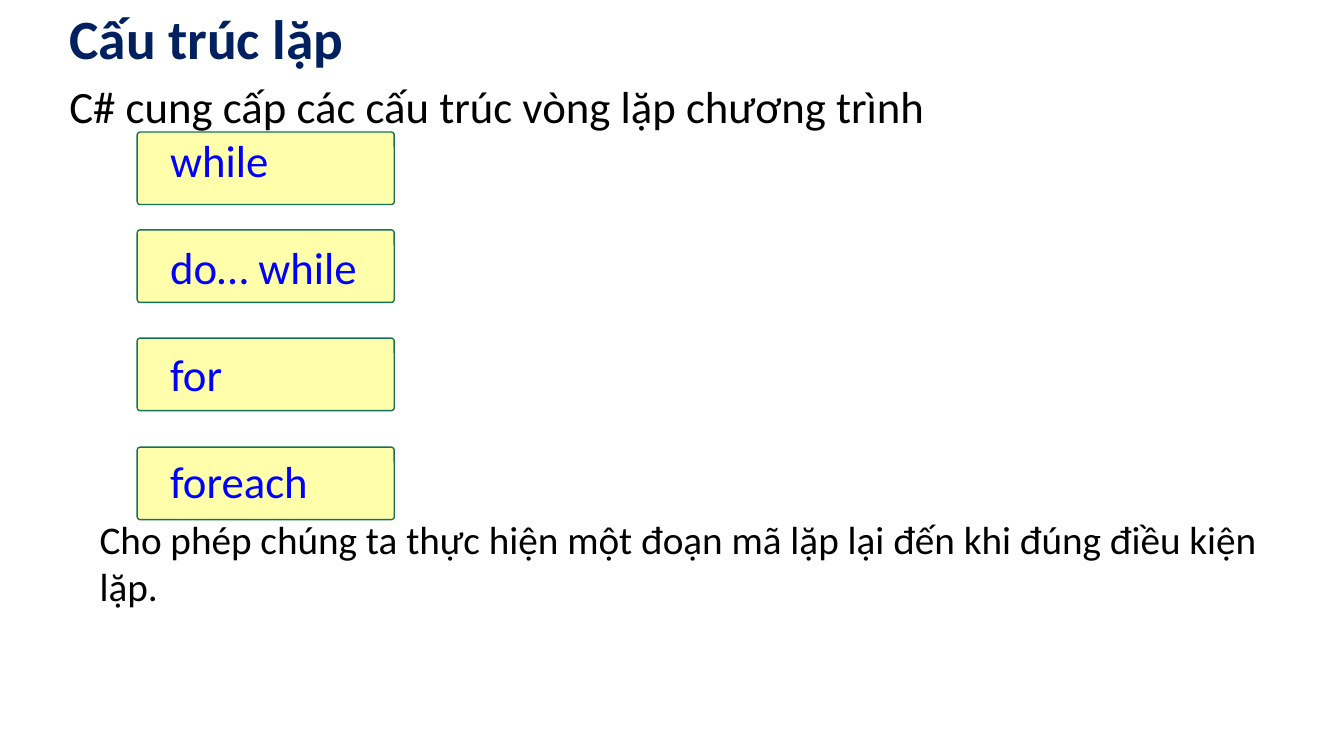
from dataclasses import dataclass

from pptx import Presentation
from pptx import util as u
from pptx.dml import color
from pptx.enum import shapes, text


@dataclass(frozen=True)
class Theme:
    font: str = "Calibri"
    title_color: str = "002060"
    body_color: str = "000000"
    keyword_color: str = "0000FF"
    box_fill: str = "FFFFAB"
    box_line: str = "157259"
    title_size: float = 39.6
    body_size: float = 32
    note_size: float = 28


theme = Theme()


def add_text_box(top, height, anchor):
    """Add an empty wrapping text box across the content width."""
    box = slide.shapes.add_textbox(u.Pt(42.5), u.Pt(top), u.Pt(878.4), u.Pt(height))
    box.text_frame.word_wrap = True
    box.text_frame.vertical_anchor = anchor
    return box.text_frame


def write(paragraph, wording, size, rgb, indent=0, before=0):
    """Fill a paragraph and set its font, left indent and space before."""
    paragraph.text = wording
    paragraph.font.name = theme.font
    paragraph.font.size = u.Pt(size)
    paragraph.font.color.rgb = color.RGBColor.from_string(rgb)
    paragraph.space_before = u.Pt(before)
    properties = paragraph._p.get_or_add_pPr()
    properties.set("marL", str(u.Pt(indent)))
    properties.set("indent", "0")


presentation = Presentation()
presentation.slide_width = u.Pt(960)
presentation.slide_height = u.Pt(540)
slide = presentation.slides.add_slide(presentation.slide_layouts[6])

# Keyword boxes, behind the text
for top in (94.3, 164.2, 241.5, 319.4):
    box = slide.shapes.add_shape(
        shapes.MSO_SHAPE.ROUNDED_RECTANGLE, u.Pt(98), u.Pt(top), u.Pt(183.6), u.Pt(51.8))
    box.adjustments[0] = 0.04
    box.shadow.inherit = False
    box.fill.solid()
    box.fill.fore_color.rgb = color.RGBColor.from_string(theme.box_fill)
    box.line.color.rgb = color.RGBColor.from_string(theme.box_line)
    box.line.width = u.Pt(1)

# Title
title = add_text_box(1.4, 51.1, text.MSO_ANCHOR.MIDDLE).paragraphs[0]
write(title, "Cấu trúc lặp", theme.title_size, theme.title_color)
title.font.bold = True

# Introduction, loop keywords and closing note
body = add_text_box(52.6, 479.5, text.MSO_ANCHOR.TOP)
write(body.paragraphs[0], "C# cung cấp các cấu trúc vòng lặp chương trình",
      theme.body_size, theme.body_color)
for index, keyword in enumerate(("while", "do… while", "for", "foreach")):
    write(body.add_paragraph(), keyword, theme.body_size, theme.keyword_color,
          indent=72, before=38 if index else 0)
write(body.add_paragraph(),
      "Cho phép chúng ta thực hiện một đoạn mã lặp lại đến khi đúng điều kiện lặp.",
      theme.note_size, theme.body_color, indent=21.6, before=6)

presentation.save("out.pptx")
